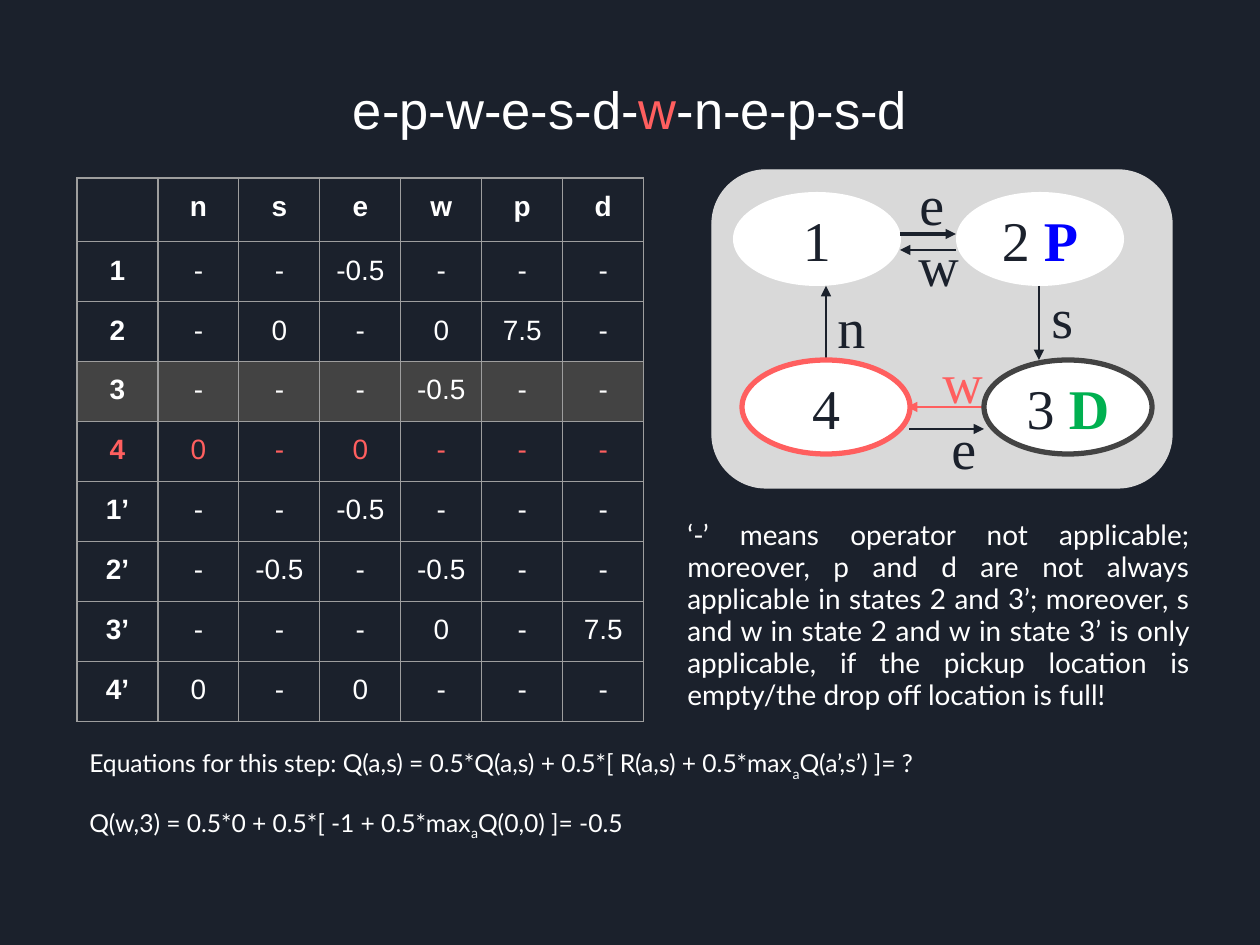
from lxml.etree import SubElement
from pptx import Presentation
from pptx.dml.color import RGBColor
from pptx.enum.shapes import MSO_CONNECTOR, MSO_SHAPE
from pptx.enum.text import MSO_ANCHOR, PP_ALIGN
from pptx.oxml import parse_xml
from pptx.oxml.ns import nsdecls, qn
from pptx.util import Pt

EMU_PER_PX = 914400 / 126

NAVY = RGBColor(0x1B, 0x21, 0x2C)
WHITE = RGBColor(0xFF, 0xFF, 0xFF)
RED = RGBColor(0xFF, 0x5F, 0x5F)
PANEL = RGBColor(0xD9, 0xD9, 0xD9)
DARK_GRAY = RGBColor(0x43, 0x43, 0x43)
GRID = RGBColor(0x9E, 0x9E, 0x9E)
BLUE = RGBColor(0x00, 0x00, 0xFF)
GREEN = RGBColor(0x00, 0xB0, 0x50)

SANS, BODY, SERIF = "Arial", "Lato", "Times New Roman"

Q_TABLE = [
    ["", "n", "s", "e", "w", "p", "d"],
    ["1", "-", "-", "-0.5", "-", "-", "-"],
    ["2", "-", "0", "-", "0", "7.5", "-"],
    ["3", "-", "-", "-", "-0.5", "-", "-"],
    ["4", "0", "-", "0", "-", "-", "-"],
    ["1’", "-", "-", "-0.5", "-", "-", "-"],
    ["2’", "-", "-0.5", "-", "-0.5", "-", "-"],
    ["3’", "-", "-", "-", "0", "-", "7.5"],
    ["4’", "0", "-", "0", "-", "-", "-"],
]
PREVIOUS_ROW, CURRENT_ROW = 3, 4
COLUMN_WIDTH, ROW_HEIGHT, CELL_MARGIN = 81, 60, 13

STATE_WIDTH, STATE_HEIGHT = 168, 94
LABEL_WIDTH, LABEL_HEIGHT = 44, 81

NOTE = (
    "‘-’ means operator not applicable; moreover, p and d are not always "
    "applicable in states 2 and 3’; moreover, s and w in state 2 and w in "
    "state 3’ is only applicable, if the pickup location is empty/the drop "
    "off location is full!"
)
EQUATIONS = [
    ("Equations for this step: Q(a,s) = 0.5*Q(a,s) + 0.5*[ R(a,s) + 0.5*max",
     "Q(a’,s’) ]= ?"),
    ("Q(w,3) = 0.5*0 + 0.5*[ -1 + 0.5*max", "Q(0,0) ]= -0.5"),
]


def px(*lengths):
    return [round(length * EMU_PER_PX) for length in lengths]


def add_span(para, text, size=32, font=SERIF, color=NAVY, bold=False, baseline=None):
    span = para.add_run()
    span.text = text
    span.font.size = Pt(size)
    span.font.name = font
    span.font.color.rgb = color
    span.font.bold = bold
    if baseline is not None:
        span.font._element.set("baseline", str(baseline * 1000))


def add_text_box(page, left, top, width, height, anchor=MSO_ANCHOR.TOP):
    frame = page.shapes.add_textbox(*px(left, top, width, height)).text_frame
    frame.word_wrap = True
    frame.vertical_anchor = anchor
    return frame


def add_block(page, kind, left, top, width, height, fill, line=None, weight=3):
    block = page.shapes.add_shape(kind, *px(left, top, width, height))
    block.shadow.inherit = False
    block.fill.solid()
    block.fill.fore_color.rgb = fill
    if line is None:
        block.line.fill.background()
    else:
        block.line.color.rgb = line
        block.line.width = Pt(weight)
    return block


def add_state(page, left, top, number, letter="", letter_color=NAVY, line=None):
    state = add_block(page, MSO_SHAPE.OVAL, left, top, STATE_WIDTH, STATE_HEIGHT,
                      WHITE, line)
    state.text_frame.vertical_anchor = MSO_ANCHOR.MIDDLE
    para = state.text_frame.paragraphs[0]
    para.alignment = PP_ALIGN.CENTER
    add_span(para, number)
    if letter:
        add_span(para, letter, color=letter_color, bold=True)


def add_label(page, left, top, text, color=NAVY):
    frame = add_text_box(page, left, top, LABEL_WIDTH, LABEL_HEIGHT)
    add_span(frame.paragraphs[0], text, color=color)


def add_arrow(page, start, end, color=NAVY, weight=1.25):
    arrow = page.shapes.add_connector(MSO_CONNECTOR.STRAIGHT, *px(*start, *end))
    arrow.line.color.rgb = color
    arrow.line.width = Pt(weight)
    SubElement(arrow.line._get_or_add_ln(), qn("a:tailEnd"), type="triangle")
    SubElement(arrow._element.spPr, qn("a:effectLst"))


def set_borders(cell):
    properties = cell._tc.get_or_add_tcPr()
    for index, side in enumerate("LRTB"):
        properties.insert(index, parse_xml(
            f'<a:ln{side} {nsdecls("a")} w="{Pt(0.75)}"><a:solidFill>'
            f'<a:srgbClr val="{GRID}"/></a:solidFill></a:ln{side}>'))


def add_q_table(page, left, top):
    rows, columns = len(Q_TABLE), len(Q_TABLE[0])
    table = page.shapes.add_table(rows, columns, *px(
        left, top, columns * COLUMN_WIDTH, rows * ROW_HEIGHT)).table
    table.first_row = table.horz_banding = False
    for row, values in enumerate(Q_TABLE):
        for column, value in enumerate(values):
            cell = table.cell(row, column)
            cell.margin_left, cell.margin_right, cell.margin_top, cell.margin_bottom = (
                px(CELL_MARGIN) * 4)
            if row == PREVIOUS_ROW:
                cell.fill.solid()
                cell.fill.fore_color.rgb = DARK_GRAY
            else:
                cell.fill.background()
            set_borders(cell)
            if value:
                para = cell.text_frame.paragraphs[0]
                para.alignment = PP_ALIGN.CENTER
                add_span(para, value, size=16, font=SANS,
                         color=RED if row == CURRENT_ROW else WHITE,
                         bold=row == 0 or column == 0)


def add_title(page):
    para = add_text_box(page, 105, 25, 1050, 158, MSO_ANCHOR.MIDDLE).paragraphs[0]
    para.alignment = PP_ALIGN.CENTER
    para.line_spacing = 1.15
    for text, color in [("e-p-w-e-s-d-", WHITE), ("w", RED), ("-n-e-p-s-d", WHITE)]:
        add_span(para, text, size=30, font=SANS, color=color)


def add_state_diagram(page):
    panel = add_block(page, MSO_SHAPE.ROUNDED_RECTANGLE, 712, 170, 460, 318,
                      PANEL, PANEL, 0.75)
    panel.adjustments[0] = 0.17

    # Upper states, then the red step that runs beneath state 3
    add_state(page, 733, 192, "1")
    add_state(page, 956, 192, "2 ", "P", BLUE)
    add_label(page, 930, 341, "w", RED)
    add_arrow(page, (1000, 407), (907, 407), RED)
    add_state(page, 984, 360, "3 ", "D", GREEN, DARK_GRAY)

    # Remaining moves; state 4 covers the start of the move north
    add_arrow(page, (900, 234), (956, 234), weight=1.75)
    add_arrow(page, (956, 250), (900, 250))
    add_arrow(page, (1039, 286), (1039, 360))
    add_arrow(page, (826, 370), (826, 286))
    add_state(page, 742, 360, "4", line=RED)
    add_arrow(page, (909, 429), (984, 429))

    # Move names
    for left, top, text in [(939, 407, "e"), (907, 163, "e"), (825, 286, "n"),
                            (1039, 276, "s"), (906, 224, "w")]:
        add_label(page, left, top, text)


def add_note(page):
    para = add_text_box(page, 675, 514, 527, 209).paragraphs[0]
    para.alignment = PP_ALIGN.JUSTIFY
    para.line_spacing = 0.95
    add_span(para, NOTE, size=16, font=BODY, color=WHITE)


def add_equations(page):
    frame = add_text_box(page, 77, 742, 1094, 158)
    for index, (before, after) in enumerate(EQUATIONS):
        para = frame.add_paragraph() if index else frame.paragraphs[0]
        para.alignment = PP_ALIGN.JUSTIFY
        para.line_spacing = 0.95
        para.space_before = Pt(16 if index else 0)
        add_span(para, before, size=14.1, font=BODY, color=WHITE)
        add_span(para, "a", size=14, font=BODY, color=WHITE, baseline=-25)
        add_span(para, after, size=14.1, font=BODY, color=WHITE)


def main():
    deck = Presentation()
    deck.slide_width, deck.slide_height = px(1260, 945)
    page = deck.slides.add_slide(deck.slide_layouts[6])
    page.background.fill.solid()
    page.background.fill.fore_color.rgb = NAVY

    add_title(page)
    add_note(page)
    add_q_table(page, 77, 178)
    add_state_diagram(page)
    add_equations(page)
    deck.save("out.pptx")


if __name__ == "__main__":
    main()
